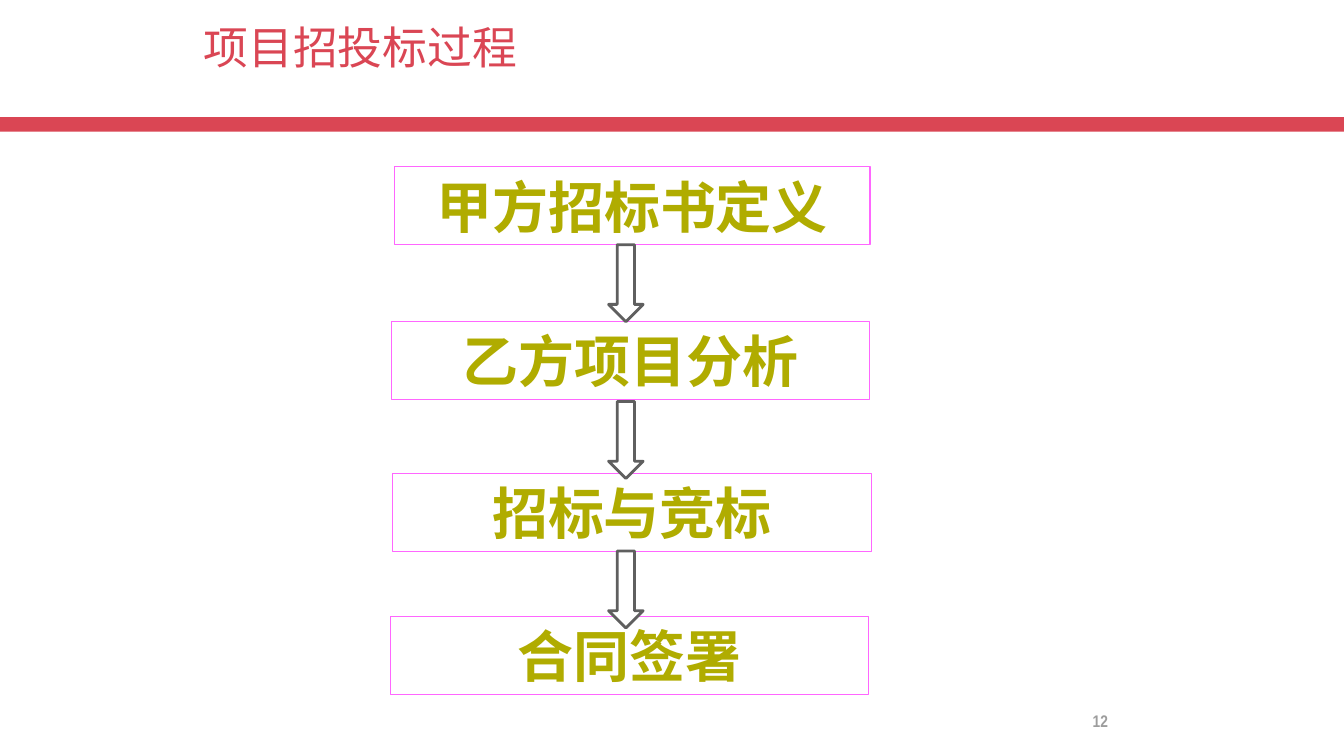
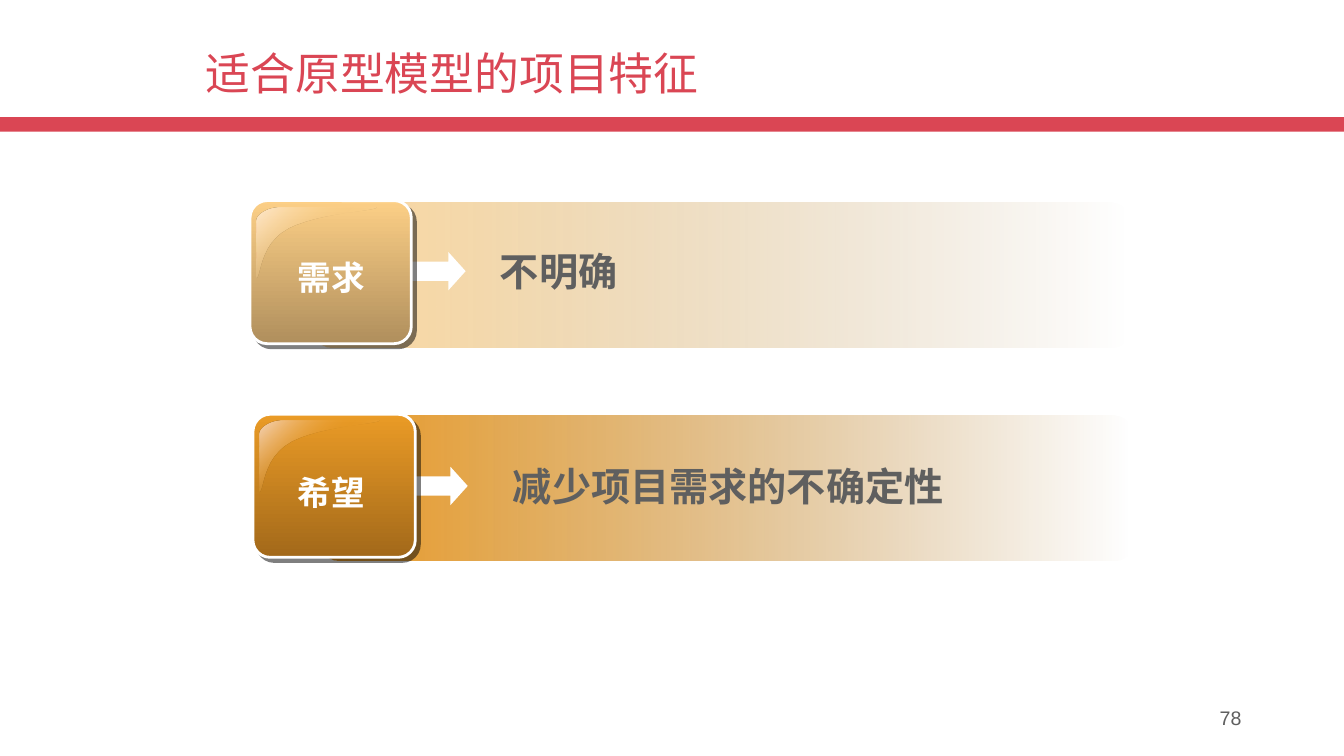
"""Build two slides on project bidding and the prototype model."""
from lxml import etree
from pptx import Presentation
from pptx.dml.color import RGBColor
from pptx.enum.shapes import MSO_SHAPE
from pptx.enum.text import MSO_ANCHOR, MSO_AUTO_SIZE, PP_ALIGN
from pptx.oxml.ns import qn
from pptx.util import Pt

RED = RGBColor(0xDA, 0x46, 0x54)
OLIVE = RGBColor(0xB0, 0xAC, 0x00)
PINK = RGBColor(0xFF, 0x66, 0xFF)
GREY = RGBColor(0x5F, 0x5F, 0x5F)
LIGHT_GREY = RGBColor(0x9D, 0x9D, 0x9D)
WHITE = RGBColor(0xFF, 0xFF, 0xFF)
BLACK = RGBColor(0x00, 0x00, 0x00)
SAND = RGBColor(0xFC, 0xCF, 0x86)
SAND_DARK = RGBColor(0xB0, 0x8F, 0x5D)
SAND_END = RGBColor(0xB4, 0x94, 0x60)
SAND_SHINE = RGBColor(0xFE, 0xE9, 0xD0)
ORANGE = RGBColor(0xEA, 0x9B, 0x26)
ORANGE_DARK = RGBColor(0xA3, 0x69, 0x1A)
ORANGE_END = RGBColor(0xA7, 0x6F, 0x1B)
ORANGE_SHINE = RGBColor(0xF5, 0xD6, 0xC0)
CJK = "Noto Sans CJK SC"
LEFT, CENTER, RIGHT = PP_ALIGN.LEFT, PP_ALIGN.CENTER, PP_ALIGN.RIGHT
TOP, MIDDLE = MSO_ANCHOR.TOP, MSO_ANCHOR.MIDDLE
RECTANGLE, ROUNDED = MSO_SHAPE.RECTANGLE, MSO_SHAPE.ROUNDED_RECTANGLE
DOWN_ARROW, RIGHT_ARROW = MSO_SHAPE.DOWN_ARROW, MSO_SHAPE.RIGHT_ARROW

WIDTH = 960
TITLE_FORMAT = {"size": Pt(32), "name": CJK, "bold": False}
STEP_FORMAT = {"size": Pt(40), "name": "Arial Narrow", "bold": True}
POINT_FORMAT = {"size": Pt(28), "name": CJK, "bold": True}
LABEL_FORMAT = {"size": Pt(24), "name": "Arial", "bold": True}


def write(shape, text, font_format, color, align=LEFT, anchor=MIDDLE, spacing=1.0):
    frame = shape.text_frame
    frame.word_wrap = True
    frame.auto_size = MSO_AUTO_SIZE.NONE
    frame.vertical_anchor = anchor
    paragraph = frame.paragraphs[0]
    paragraph.alignment = align
    paragraph.line_spacing = spacing
    run = paragraph.add_run()
    run.text = text
    for name, value in font_format.items():
        setattr(run.font, name, value)
    run.font.color.rgb = color
    east_asian = etree.SubElement(run.font._element, qn("a:ea"))
    east_asian.set("typeface", CJK)


def fill_gradient(shape, stops, angle):
    shape.shadow.inherit = False
    shape.line.fill.background()
    shape.fill.gradient()
    gradient = shape.element.spPr.find(qn("a:gradFill"))
    gradient.find(qn("a:lin")).set("ang", str(angle * 60000))
    stop_list = gradient.find(qn("a:gsLst"))
    stop_list.clear()
    for position, color, opacity in stops:
        stop = etree.SubElement(stop_list, qn("a:gs"), pos=str(position * 1000))
        stop_color = etree.SubElement(stop, qn("a:srgbClr"), val=str(color))
        etree.SubElement(stop_color, qn("a:alpha"), val=str(opacity * 1000))


presentation = Presentation()
presentation.slide_width = Pt(WIDTH)
presentation.slide_height = Pt(540)
layout = presentation.slide_layouts[5]

pages = [
    {"title": "项目招投标过程", "left": 138.2, "anchor": TOP, "number": "12",
     "format": {"size": Pt(12), "name": "Arial Narrow", "bold": True},
     "color": LIGHT_GREY, "align": CENTER, "number_anchor": MIDDLE},
    {"title": "适合原型模型的项目特征", "left": 139.7, "anchor": MIDDLE, "number": "78",
     "format": {"size": Pt(14), "name": "Arial", "bold": False},
     "color": GREY, "align": RIGHT, "number_anchor": TOP},
]
slides = []
for page in pages:
    slide = presentation.slides.add_slide(layout)
    title = slide.shapes.title
    title.left, title.top = Pt(page["left"]), Pt(15)
    title.width, title.height = Pt(642), Pt(78)
    write(title, page["title"], TITLE_FORMAT, RED, LEFT, page["anchor"], 0.9)
    number = slide.shapes.add_textbox(Pt(678), Pt(500.4), Pt(216), Pt(28.8))
    write(number, page["number"], page["format"], page["color"],
          page["align"], page["number_anchor"])
    slides.append(slide)
process_slide, prototype_slide = slides

band = process_slide.shapes.add_shape(RECTANGLE, 0, Pt(83.7), Pt(WIDTH), Pt(10.3))
band.shadow.inherit = False
band.fill.solid()
band.fill.fore_color.rgb = RED
band.line.fill.background()
layout.shapes.element.insert(2, band.element)

steps = [
    ("甲方招标书定义", 281.5, 119.2, 340),
    ("乙方项目分析", 279.4, 229.6, 342),
    ("招标与竞标", 280.4, 338, 342),
    ("合同签署", 278.6, 440.2, 342),
]
outlined = []
for text, left, top, width in steps:
    box = process_slide.shapes.add_shape(RECTANGLE, Pt(left), Pt(top), Pt(width), Pt(55.7))
    write(box, text, STEP_FORMAT, OLIVE, CENTER)
    outlined.append((box, PINK, 0.75))
for top in (174.8, 286.8, 393.6):
    arrow = process_slide.shapes.add_shape(DOWN_ARROW, Pt(434.7), Pt(top), Pt(24.7), Pt(55))
    outlined.append((arrow, GREY, 2))
for shape, color, weight in outlined:
    shape.shadow.inherit = False
    shape.fill.solid()
    shape.fill.fore_color.rgb = WHITE
    shape.line.color.rgb = color
    shape.line.width = Pt(weight)

shine_curves = [
    ((17.3, 0), (8, 0), (0, 5), (0, 10)),
    ((0, 50.4), (3.6, 51.1), (1.4, 26.6), (23, 15.1)),
    ((23, 15.1), (45.4, 3.6), (86.4, 2.9), (85.7, 0)),
]
shine_points = []
for curve in shine_curves:
    for index in range(13):
        t = index / 12
        weights = ((1 - t) ** 3, 3 * t * (1 - t) ** 2, 3 * t * t * (1 - t), t ** 3)
        shine_points.append(tuple(
            sum(weight * point[axis] for weight, point in zip(weights, curve))
            for axis in (0, 1)))

features = [
    {"label": "需求", "text": "不明确", "text_left": 350, "text_top": 172.8,
     "badge": (178.6, 143.3, 115.2), "bar": (224.6, 144.7, 581.8),
     "arrow": (292.3, 180), "label_top": 180, "opacity": 80,
     "colors": (SAND, SAND_DARK, SAND_END, SAND_SHINE)},
    {"label": "希望", "text": "减少项目需求的不确定性", "text_left": 359.3, "text_top": 326.2,
     "badge": (180.7, 295.9, 115.9), "bar": (229.7, 296.6, 578.2),
     "arrow": (293.8, 333.4), "label_top": 333.4, "opacity": 100,
     "colors": (ORANGE, ORANGE_DARK, ORANGE_END, ORANGE_SHINE)},
]
shapes = prototype_slide.shapes
for feature in features:
    main, dark, end, shine = feature["colors"]
    left, top, width = feature["bar"]
    bar = shapes.add_shape(ROUNDED, Pt(left), Pt(top), Pt(width), Pt(103.5))
    bar.adjustments[0] = 0.115
    fill_gradient(bar, [(0, main, feature["opacity"]), (100, end, 0)], 0)

    left, top = feature["arrow"]
    arrow = shapes.add_shape(RIGHT_ARROW, Pt(left), Pt(top), Pt(40.3), Pt(27.4))
    arrow.adjustments[1] = 0.45
    arrow.shadow.inherit = False
    arrow.fill.solid()
    arrow.fill.fore_color.rgb = WHITE
    arrow.line.fill.background()

    left, top, width = feature["badge"]
    badge = shapes.add_shape(ROUNDED, Pt(left), Pt(top), Pt(width), Pt(102.2))
    badge.adjustments[0] = 0.12
    fill_gradient(badge, [(0, main, 100), (100, dark, 100)], 90)
    badge.line.color.rgb = WHITE
    badge.line.width = Pt(2)
    effects = badge.element.spPr.find(qn("a:effectLst"))
    shadow = etree.SubElement(effects, qn("a:outerShdw"), dist=str(Pt(4.2)),
                              dir=str(45 * 60000), algn="ctr", rotWithShape="0")
    shadow_color = etree.SubElement(shadow, qn("a:srgbClr"), val=str(BLACK))
    etree.SubElement(shadow_color, qn("a:alpha"), val="50000")

    points = [(Pt(left + 4.7 + x), Pt(top + 4.7 + y)) for x, y in shine_points]
    builder = shapes.build_freeform(*points[0])
    builder.add_line_segments(points[1:], close=True)
    fill_gradient(builder.convert_to_shape(),
                  [(0, shine, 100), (50, main, 0), (100, shine, 100)], 45)

    text_left = feature["text_left"]
    point_box = shapes.add_textbox(Pt(text_left), Pt(feature["text_top"]),
                                   Pt(769 - text_left), Pt(41))
    write(point_box, feature["text"], POINT_FORMAT, GREY)
    label_box = shapes.add_textbox(Pt(176.6), Pt(feature["label_top"]), Pt(120), Pt(36))
    write(label_box, feature["label"], LABEL_FORMAT, WHITE, CENTER)

presentation.save("out.pptx")
